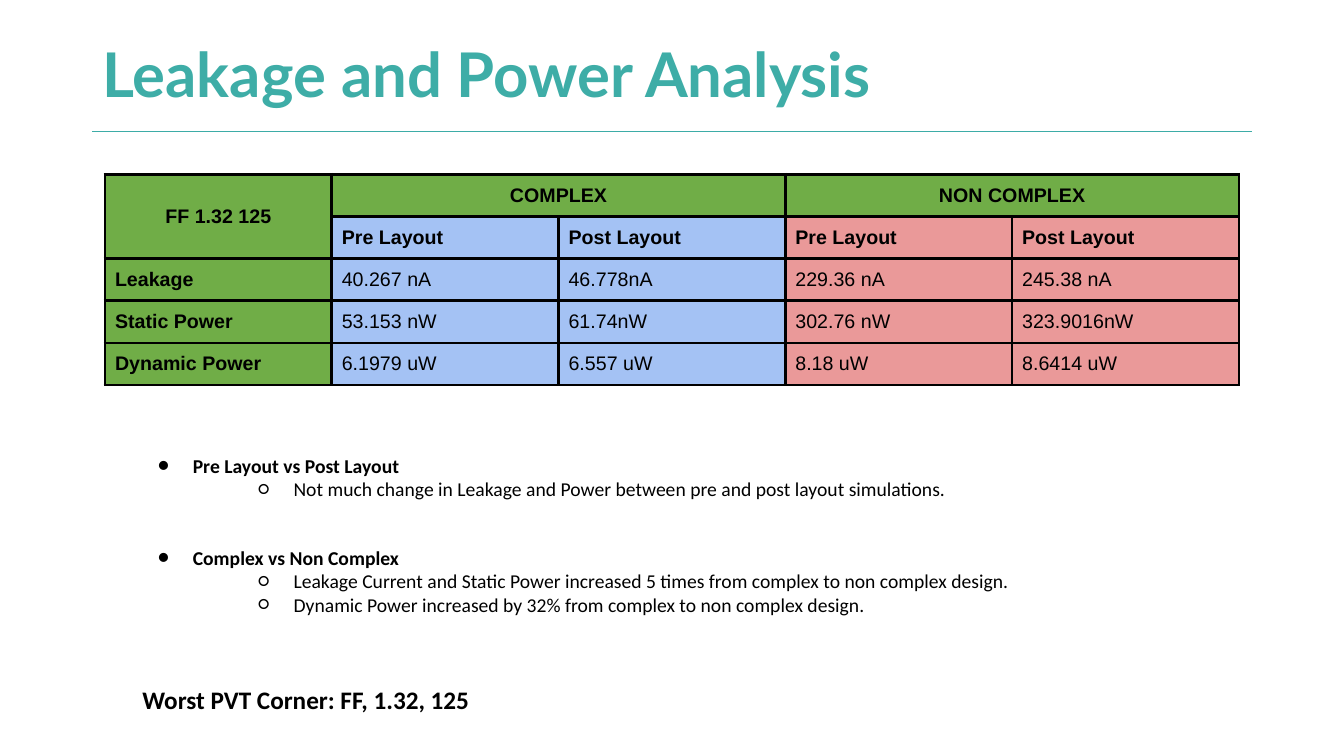
"""Build the leakage and power analysis slide."""
from dataclasses import dataclass

from lxml import etree
from pptx import Presentation
from pptx import util as u
from pptx.dml.color import RGBColor
from pptx.enum import shapes, text
from pptx.oxml import ns

WIDTH, HEIGHT = u.Inches(13.33), u.Inches(7.5)
COLUMNS, ROWS = 32, 18


@dataclass(frozen=True)
class Theme:
    """Colours, fonts and type sizes of the slide."""
    teal: str = "3EADA7"
    rule: str = "3DACA7"
    black: str = "000000"
    green: str = "70AD47"
    blue: str = "A4C2F4"
    red: str = "EA9999"
    title_font: str = "Lato"
    table_font: str = "Arial"
    body_font: str = "Calibri"
    title_size: int = 44
    text_size: int = 14
    corner_size: int = 18


THEME = Theme()


@dataclass(frozen=True)
class Frame:
    """A rectangle in grid columns and rows."""
    left: float
    top: float
    width: float
    height: float

    def box(self) -> tuple[int, int, int, int]:
        """Return left, top, width and height as lengths."""
        return col(self.left), row(self.top), col(self.width), row(self.height)


@dataclass(frozen=True)
class Finding:
    """A paragraph of the body text."""
    words: str
    bullet: str = ""
    level: int = 0
    indent: float = 0
    bold: bool = False
    size: int = THEME.text_size
    gap: float = 0


def col(count: float) -> int:
    """Convert grid columns to a length."""
    return round(WIDTH * count / COLUMNS)


def row(count: float) -> int:
    """Convert grid rows to a length."""
    return round(HEIGHT * count / ROWS)


TITLE = Frame(2.2, 0.77, 24.8, 2.16)
RULE = Frame(2.2, 3.12, 27.6, 0)
RESULTS = Frame(2.5, 4.15, 27, 5)
BODY = Frame(3.15, 10.56, 21.6, 7.2)
HANGING = 0.84
INSET = col(0.24)

MEASURES = [
    ["FF 1.32 125", "COMPLEX", "", "NON COMPLEX", ""],
    ["", "Pre Layout", "Post Layout", "Pre Layout", "Post Layout"],
    ["Leakage", "40.267 nA", "46.778nA", "229.36 nA", "245.38 nA"],
    ["Static Power", "53.153 nW", "61.74nW", "302.76 nW", "323.9016nW"],
    ["Dynamic Power", "6.1979 uW", "6.557 uW", "8.18 uW", "8.6414 uW"],
]
MERGES = [((0, 0), (1, 0)), ((0, 1), (0, 2)), ((0, 3), (0, 4))]

TOPIC = dict(bullet="●", indent=1.2, bold=True)
DETAIL = dict(bullet="○", indent=3.6, level=1)
FINDINGS = [
    Finding("Pre Layout vs Post Layout", **TOPIC),
    Finding("Not much change in Leakage and Power between pre and post layout simulations.", **DETAIL),
    Finding("Complex vs Non Complex", gap=32, **TOPIC),
    Finding("Leakage Current and Static Power increased 5 times from complex to non complex design.", **DETAIL),
    Finding("Dynamic Power increased by 32% from complex to non complex design.", **DETAIL),
    Finding("Worst PVT Corner: FF, 1.32, 125", bold=True, size=THEME.corner_size, gap=49),
]


def add_run(paragraph, words: str, font: str, size: float, colour: str, bold: bool) -> None:
    """Add one formatted run to a paragraph."""
    run = paragraph.add_run()
    run.text = words
    run.font.name, run.font.size, run.font.bold = font, u.Pt(size), bold
    run.font.color.rgb = RGBColor.from_string(colour)


def add_solid(parent, colour: str) -> None:
    """Append a solid fill to an XML element."""
    fill = etree.SubElement(parent, ns.qn("a:solidFill"))
    etree.SubElement(fill, ns.qn("a:srgbClr"), val=colour)


def set_insets(holder, side: int, end: int) -> None:
    """Set the inner margins of a cell or a text frame."""
    holder.margin_left = holder.margin_right = side
    holder.margin_top = holder.margin_bottom = end


def set_bullet(paragraph, finding: Finding) -> None:
    """Set the bullet and the hanging indent of a paragraph."""
    properties = paragraph._p.get_or_add_pPr()
    properties.set("marL", str(col(finding.indent)))
    properties.set("indent", str(-col(HANGING) if finding.bullet else 0))
    if not finding.bullet:
        etree.SubElement(properties, ns.qn("a:buNone"))
        return
    colour = etree.SubElement(properties, ns.qn("a:buClr"))
    etree.SubElement(colour, ns.qn("a:srgbClr"), val=THEME.black)
    etree.SubElement(properties, ns.qn("a:buFont"), typeface=THEME.body_font)
    etree.SubElement(properties, ns.qn("a:buChar"), char=finding.bullet)


def set_borders(cell) -> None:
    """Draw a border on each side of a cell."""
    properties = cell._tc.get_or_add_tcPr()
    for place, side in enumerate(("a:lnL", "a:lnR", "a:lnT", "a:lnB")):
        border = etree.Element(ns.qn(side), w=str(u.Pt(2.25)))
        add_solid(border, THEME.black)
        properties.insert(place, border)


def cell_colour(line: int, column: int) -> str:
    """Choose a cell fill by its place in the table."""
    if line == 0 or column == 0:
        return THEME.green
    return THEME.blue if column < 3 else THEME.red


def add_title(slide) -> None:
    """Fill the title and draw the rule beneath it."""
    title = slide.shapes.title
    title.left, title.top, title.width, title.height = TITLE.box()
    frame = title.text_frame
    frame.auto_size = text.MSO_AUTO_SIZE.NONE
    frame.vertical_anchor = text.MSO_ANCHOR.MIDDLE
    set_insets(frame, INSET, INSET // 2)
    heading = frame.paragraphs[0]
    heading.alignment, heading.line_spacing = text.PP_ALIGN.LEFT, 0.9
    add_run(heading, "Leakage and Power Analysis", THEME.title_font, THEME.title_size, THEME.teal, True)
    left, top, width, _ = RULE.box()
    rule = slide.shapes.add_connector(shapes.MSO_CONNECTOR.STRAIGHT, left, top, left + width, top)
    rule.line.color.rgb, rule.line.width = RGBColor.from_string(THEME.rule), u.Pt(0.75)
    etree.SubElement(rule._element.spPr, ns.qn("a:effectLst"))


def add_results(slide) -> None:
    """Add the table of leakage and power results."""
    results = slide.shapes.add_table(len(MEASURES), len(MEASURES[0]), *RESULTS.box()).table
    results.first_row = results.horz_banding = False
    for first, last in MERGES:
        results.cell(*first).merge(results.cell(*last))
    for line, values in enumerate(MEASURES):
        for column, value in enumerate(values):
            cell = results.cell(line, column)
            cell.fill.solid()
            cell.fill.fore_color.rgb = RGBColor.from_string(cell_colour(line, column))
            set_borders(cell)
            if not value:
                set_insets(cell, 0, 0)
                continue
            set_insets(cell, INSET, INSET)
            entry = cell.text_frame.paragraphs[0]
            if line == 0:
                entry.alignment = text.PP_ALIGN.CENTER
            add_run(entry, value, THEME.table_font, THEME.text_size, THEME.black, line < 2 or column == 0)
    results.cell(0, 0).vertical_anchor = text.MSO_ANCHOR.MIDDLE


def add_findings(slide) -> None:
    """Fill the body placeholder with the findings."""
    body = slide.placeholders[1]
    body.left, body.top, body.width, body.height = BODY.box()
    frame = body.text_frame
    frame.word_wrap, frame.auto_size = True, text.MSO_AUTO_SIZE.NONE
    frame.vertical_anchor = text.MSO_ANCHOR.TOP
    set_insets(frame, INSET, INSET)
    for place, finding in enumerate(FINDINGS):
        paragraph = frame.add_paragraph() if place else frame.paragraphs[0]
        set_bullet(paragraph, finding)
        paragraph.level, paragraph.space_before = finding.level, u.Pt(finding.gap)
        add_run(paragraph, finding.words, THEME.body_font, finding.size, THEME.black, finding.bold)


def main() -> None:
    """Build and save the slide."""
    deck = Presentation()
    deck.slide_width, deck.slide_height = WIDTH, HEIGHT
    slide = deck.slides.add_slide(deck.slide_layouts[1])
    add_title(slide)
    add_results(slide)
    add_findings(slide)
    deck.save("out.pptx")


if __name__ == "__main__":
    main()
